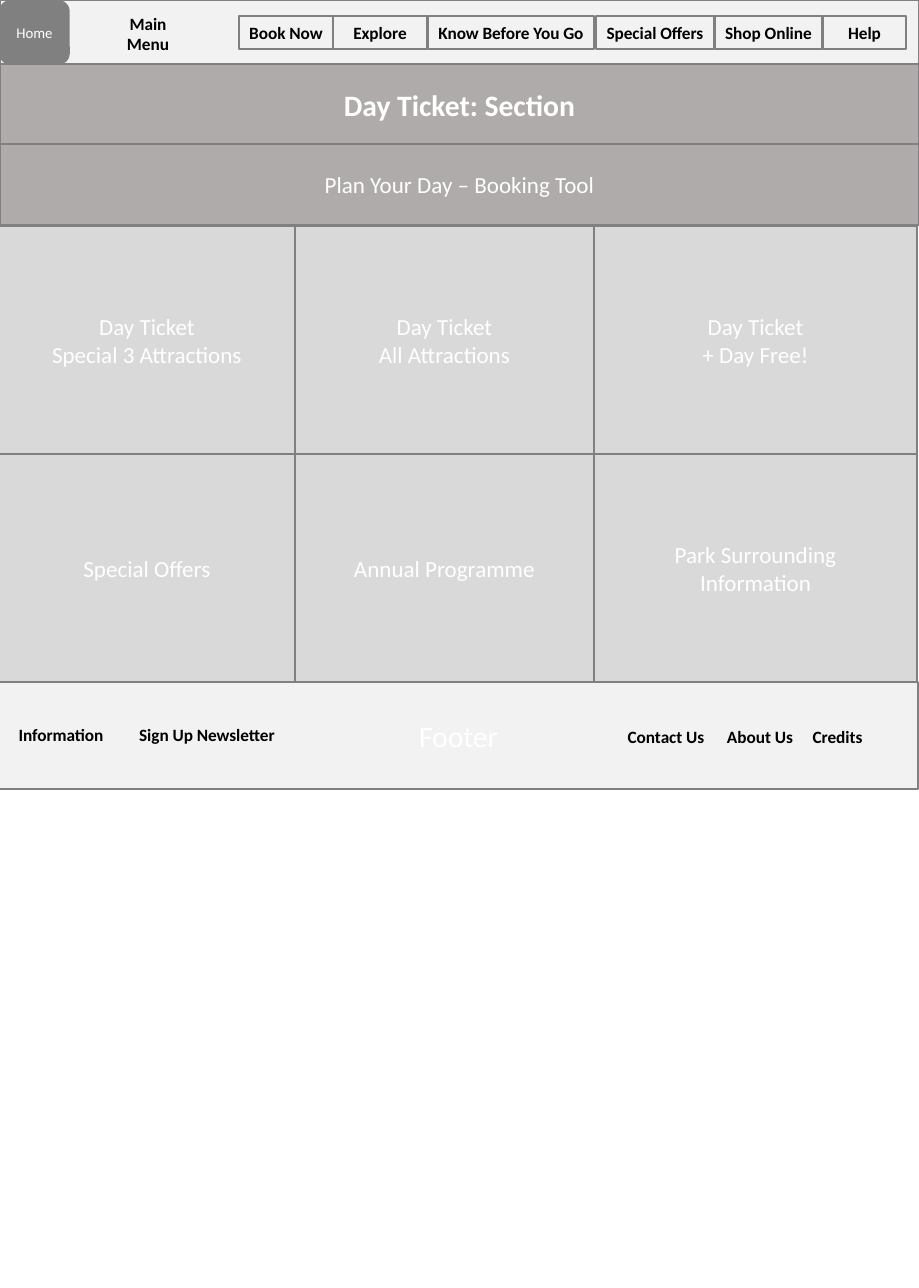
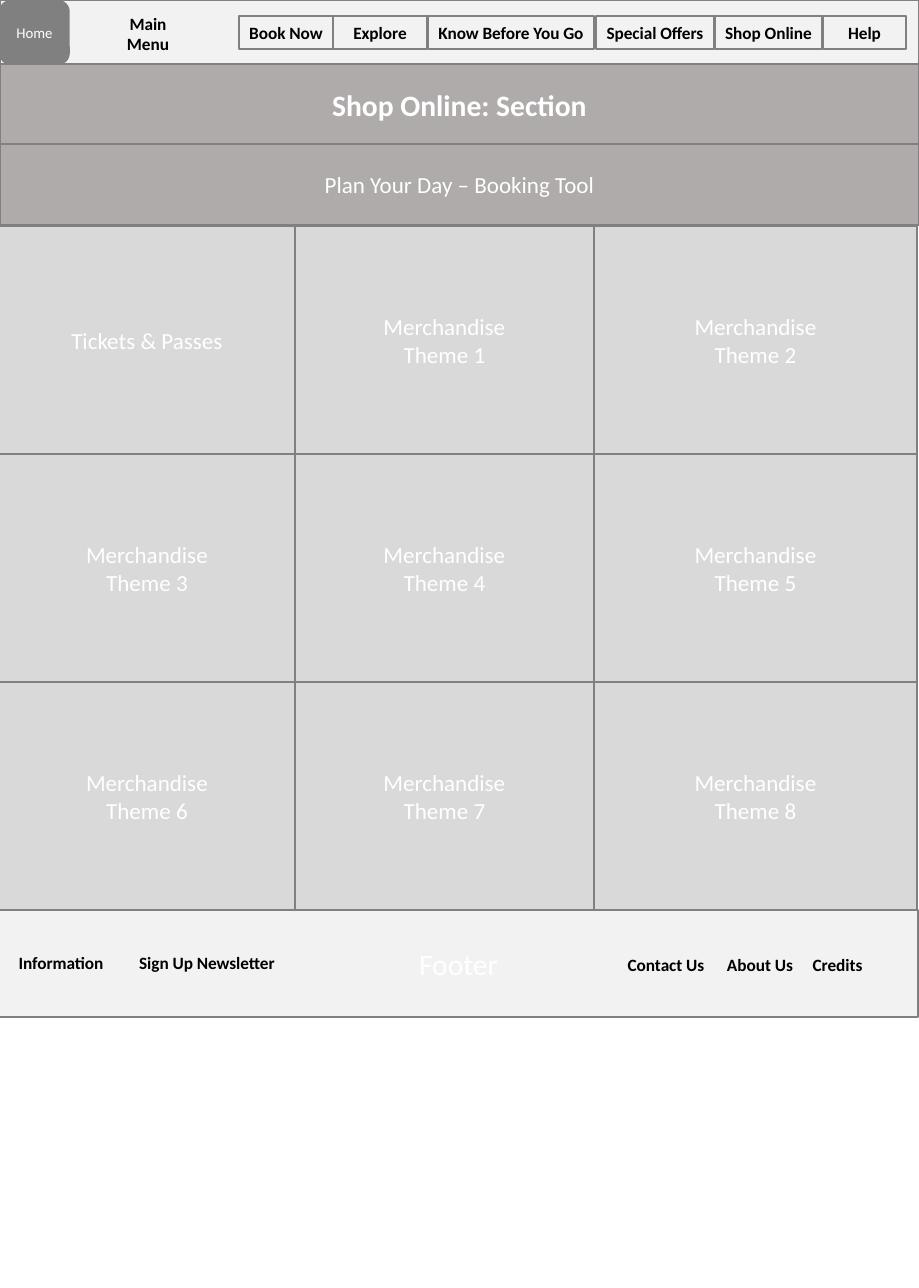
from pptx import Presentation
from pptx.dml.color import RGBColor
from pptx.enum.shapes import MSO_SHAPE
from pptx.enum.text import MSO_ANCHOR, MSO_AUTO_SIZE, PP_ALIGN
from pptx.util import Pt

RECT, ROUNDED = MSO_SHAPE.RECTANGLE, MSO_SHAPE.ROUNDED_RECTANGLE
MIDDLE, CENTER = MSO_ANCHOR.MIDDLE, PP_ALIGN.CENTER
FIT, NO_FIT = MSO_AUTO_SIZE.SHAPE_TO_FIT_TEXT, MSO_AUTO_SIZE.NONE

PX = 7723  # EMU in one px
PAGE_W, PAGE_H = 919, 1288
FONT = "Calibri"
BLACK = RGBColor(0x00, 0x00, 0x00)
WHITE = RGBColor(0xFF, 0xFF, 0xFF)
DARK = RGBColor(0x80, 0x80, 0x80)
BAND = RGBColor(0xAF, 0xAB, 0xAB)
TILE = RGBColor(0xD9, 0xD9, 0xD9)
PALE = RGBColor(0xF2, 0xF2, 0xF2)

HEADER_H, BAND_H, FOOTER_H = 64, 81, 107
BOOKING_TOP = 144
NAV_TOP, LABEL_H = 16, 33
NAV = [  # text, left, width
    ("Book Now", 239, 94),
    ("Explore", 333, 94),
    ("Know Before You Go", 428, 166),
    ("Special Offers", 596, 118),
    ("Shop Online", 715, 107),
    ("Help", 823, 83),
]
TILES_TOP, TILE_H = 226, 228
COLUMNS = [(-1, 296), (295, 299), (594, 323)]  # left, width
FOOTER_LINKS = [  # text, left, offset below the footer's top, width
    ("Information", 7, 36, 108),
    ("Sign Up Newsletter", 124, 36, 166),
    ("Contact Us", 619, 38, 94),
    ("About Us", 701, 38, 118),
    ("Credits", 784, 38, 107),
]
PAGES = [
    ("Day Ticket: Section", [
        "Day Ticket\nSpecial 3 Attractions",
        "Day Ticket\nAll Attractions",
        "Day Ticket\n+ Day Free!",
        "Special Offers",
        "Annual Programme",
        "Park Surrounding\nInformation",
    ]),
    ("Shop Online: Section",
     ["Tickets & Passes"] + [f"Merchandise\nTheme {n}" for n in range(1, 9)]),
]


def write(box, text, size=14, color=WHITE, bold=False, inset=None):
    """Centre text in a box, one paragraph a line; an inset also fits the box to it."""
    frame = box.text_frame
    frame.word_wrap = True
    frame.vertical_anchor = MIDDLE
    frame.auto_size = NO_FIT if inset is None else FIT
    if inset is not None:
        frame.margin_left = frame.margin_right = inset * PX
        frame.margin_top = frame.margin_bottom = inset * PX
    frame.text = text
    for para in frame.paragraphs:
        para.alignment = CENTER
        for span in para.runs:
            font = span.font
            font.name, font.size, font.bold = FONT, Pt(size), bold
            font.color.rgb = color


def add_box(page, bounds, fill=None, kind=RECT, weight=1):
    """Add an outlined shape; without a fill colour it stays clear."""
    box = page.shapes.add_shape(kind, *[PX * length for length in bounds])
    box.shadow.inherit = False
    if fill is None:
        box.fill.background()
    else:
        box.fill.solid()
        box.fill.fore_color.rgb = fill
    box.line.color.rgb = DARK
    box.line.width = Pt(weight)
    return box


LABEL = dict(size=10.5, color=BLACK, bold=True, inset=6)

deck = Presentation()
deck.slide_width, deck.slide_height = PAGE_W * PX, PAGE_H * PX
title_only = deck.slide_layouts[5]

for heading, tiles in PAGES:
    page = deck.slides.add_slide(title_only)

    title = page.shapes.title
    title.left, title.top = 0, HEADER_H * PX
    title.width, title.height = PAGE_W * PX, BAND_H * PX
    title.fill.solid()
    title.fill.fore_color.rgb = BAND
    title.line.color.rgb = DARK
    title.line.width = Pt(1)
    write(title, heading, size=18, bold=True)

    add_box(page, (0, 0, PAGE_W, HEADER_H), PALE)
    home = add_box(page, (0, 1, 69, 63), DARK, kind=ROUNDED)
    write(home, "Home", size=9)
    for text, left, width in NAV:
        button = add_box(page, (left, NAV_TOP, width, LABEL_H), weight=0.75)
        write(button, text, **LABEL)

    booking = add_box(page, (0, BOOKING_TOP, PAGE_W, BAND_H), BAND)
    write(booking, "Plan Your Day – Booking Tool")

    footer_top = TILES_TOP + len(tiles) // len(COLUMNS) * TILE_H
    footer = add_box(page, (-1, footer_top, PAGE_W, FOOTER_H), PALE)
    write(footer, "Footer", size=18)

    for index, text in enumerate(tiles):
        row, column = divmod(index, len(COLUMNS))
        left, width = COLUMNS[column]
        tile = add_box(page, (left, TILES_TOP + row * TILE_H, width, TILE_H), TILE)
        write(tile, text)

    labels = [("Main Menu", 103, 7, 90, 53)]
    for text, left, offset, width in FOOTER_LINKS:
        labels.append((text, left, footer_top + offset, width, LABEL_H))
    for text, *bounds in labels:
        label = page.shapes.add_textbox(*[PX * length for length in bounds])
        write(label, text, **LABEL)

deck.save("out.pptx")
